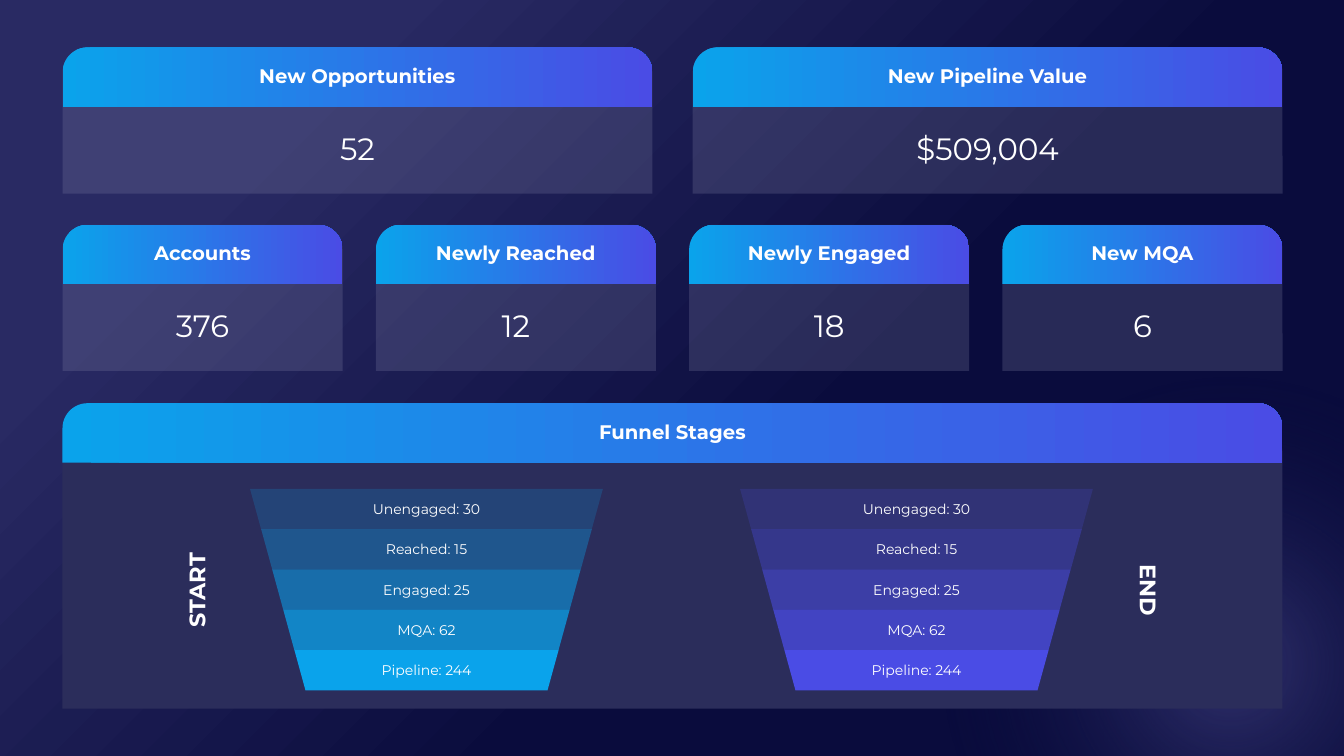
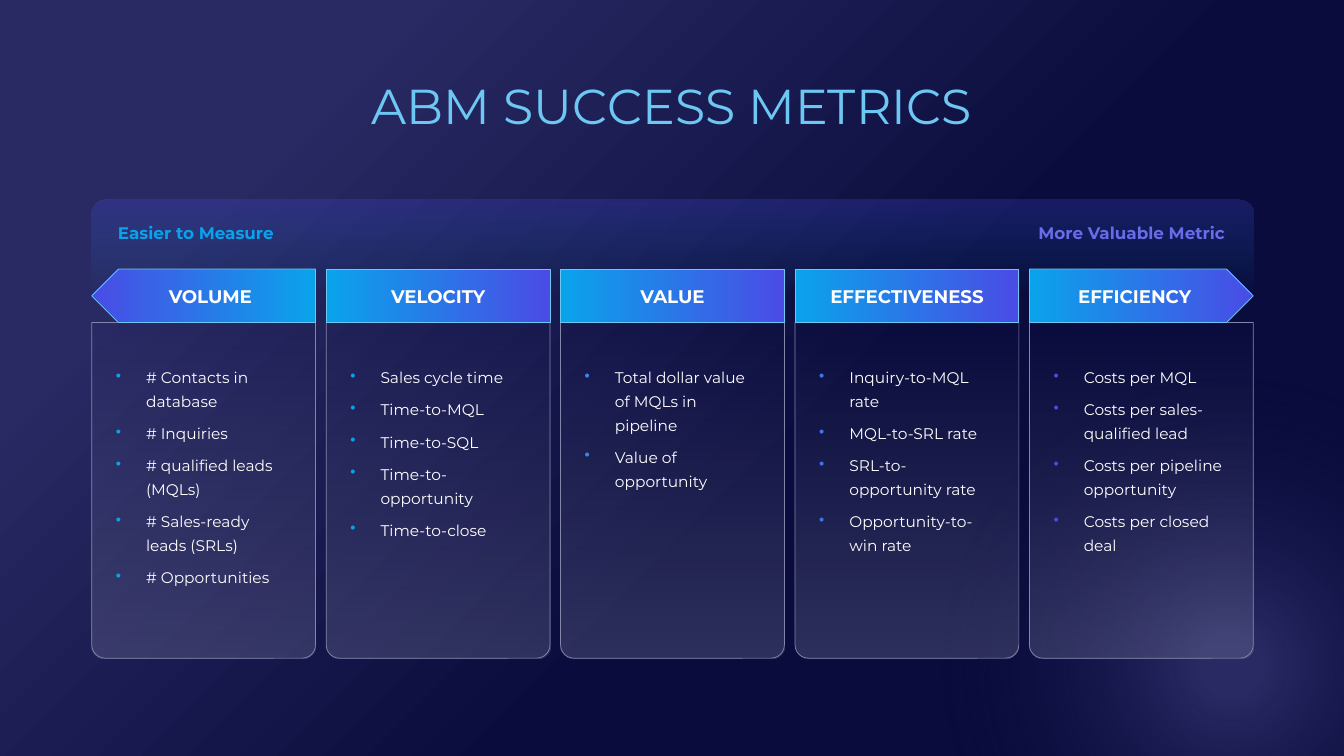
from pptx import Presentation
from pptx.enum.shapes import MSO_SHAPE
from pptx.enum.text import MSO_ANCHOR, MSO_AUTO_SIZE, PP_ALIGN
from pptx.oxml import parse_xml
from pptx.oxml.ns import nsdecls, qn
from pptx.util import Inches, Pt

ROUND_TOP, OVAL = MSO_SHAPE.ROUND_2_SAME_RECTANGLE, MSO_SHAPE.OVAL
RECT, ARROW = MSO_SHAPE.RECTANGLE, MSO_SHAPE.PENTAGON
LEFT, CENTER, RIGHT = PP_ALIGN.LEFT, PP_ALIGN.CENTER, PP_ALIGN.RIGHT
TOP, MIDDLE = MSO_ANCHOR.TOP, MSO_ANCHOR.MIDDLE

WHITE, CYAN, INDIGO, SKY = "FFFFFF", "0AA3EB", "4A4CE5", "6CC8F3"
NAVY, DUSK, MIST, PANEL = "0A0C3D", "292A63", "8485A8", "2B2D5B"
FONT = "Montserrat"

ACROSS = '<a:lin ang="0" scaled="0"/>'
DOWN = '<a:lin ang="5400000" scaled="0"/>'
CORNER = '<a:path path="circle"><a:fillToRect r="100000" b="100000"/></a:path>'
CENTRE = ('<a:path path="circle"><a:fillToRect l="50000" t="50000" '
          'r="50000" b="50000"/></a:path>')
BRAND = [(0, CYAN, 100), (100, INDIGO, 100)]

HEAD = {"size": Pt(14), "bold": True}
VALUE = {"size": Pt(22), "bold": False}
STAGE = {"size": Pt(10), "bold": False}
SIDE = {"size": Pt(16), "bold": True}
TITLE = {"size": Pt(35), "bold": False}
COLUMN = {"size": Pt(13), "bold": True}
ITEM = {"size": Pt(11), "bold": False}
LABEL = {"size": Pt(12), "bold": True}
SPACED = {"line_spacing": Pt(17), "space_after": Pt(6)}


def paint(fill, stops, direction=ACROSS):
    if isinstance(stops, str):
        stops = [(0, stops, 100)]
    colours = [f'<a:srgbClr val="{c}"><a:alpha val="{a * 1000}"/></a:srgbClr>'
               for _, c, a in stops]
    if len(stops) == 1:
        xml = f'<a:solidFill {nsdecls("a")}>{colours[0]}</a:solidFill>'
    else:
        gs = "".join(f'<a:gs pos="{stop[0] * 1000}">{c}</a:gs>'
                     for stop, c in zip(stops, colours))
        xml = (f'<a:gradFill {nsdecls("a")} rotWithShape="1">'
               f'<a:gsLst>{gs}</a:gsLst>{direction}</a:gradFill>')
    fill.solid()
    parent = fill._xPr
    parent.replace(parent.find(qn("a:solidFill")), parse_xml(xml))


def write(sp, lines, style, color=WHITE, align=CENTER, anchor=MIDDLE,
          insets=(0.1, 0.05, 0.1, 0.05), wrap=True, spacing=None, bullet=None):
    tf = sp.text_frame
    frame = {"auto_size": MSO_AUTO_SIZE.NONE, "word_wrap": wrap,
             "vertical_anchor": anchor}
    for side, inset in zip(("left", "top", "right", "bottom"), insets):
        frame[f"margin_{side}"] = Inches(inset)
    for key, value in frame.items():
        setattr(tf, key, value)
    for i, line in enumerate(lines):
        p = tf.add_paragraph() if i else tf.paragraphs[0]
        for key, value in {"alignment": align, **(spacing or {})}.items():
            setattr(p, key, value)
        if bullet:
            pPr = p._p.get_or_add_pPr()
            pPr.set("marL", str(Inches(0.3)))
            pPr.set("indent", str(Inches(-0.3)))
            pPr.append(parse_xml(f'<a:buClr {nsdecls("a")}>'
                                 f'<a:srgbClr val="{bullet}"/></a:buClr>'))
            pPr.append(parse_xml(f'<a:buChar {nsdecls("a")} char="•"/>'))
        r = p.add_run()
        r.text = line
        for key, value in {"name": FONT, **style}.items():
            setattr(r.font, key, value)
        paint(r.font.fill, color, CORNER)


prs = Presentation()
prs.slide_width, prs.slide_height = Inches(13.33), Inches(7.5)
master = prs.slide_master
paint(master.background.fill, [(19, DUSK, 100), (60, NAVY, 100)], CORNER)

s = prs.slides.add_slide(prs.slide_layouts[6])
glow = s.shapes.add_shape(OVAL, Inches(9.35), Inches(3.75), Inches(5.7), Inches(5.68))
paint(glow.fill, [(8, DUSK, 100), (71, NAVY, 0)], CENTRE)
glow.line.fill.background()
glow.shadow.inherit = False
master.element.find(".//" + qn("p:spTree")).insert(2, glow.element)

GLASS = [(0, MIST, 25)]
ROWS = [
    (0.47, 1.45, 0.4, GLASS, [("New Opportunities", "52"),
                              ("New Pipeline Value", "$509,004")]),
    (2.23, 1.45, 0.33, GLASS, [("Accounts", "376"), ("Newly Reached", "12"),
                               ("Newly Engaged", "18"), ("New MQA", "6")]),
    (4.0, 3.03, 0, PANEL, [("Funnel Stages", None)]),
]
for top, height, gap, fill, cards in ROWS:
    pitch = (12.1 + gap) / len(cards)
    for i, (name, value) in enumerate(cards):
        left, width = Inches(0.62 + i * pitch), Inches(pitch - gap)
        body = s.shapes.add_shape(ROUND_TOP, left, Inches(top), width, Inches(height))
        body.adjustments[0] = 0.17
        paint(body.fill, fill)
        if value:
            write(body, [value], VALUE, insets=(0.2, 0.6, 0.2, 0), spacing=SPACED)
        head = s.shapes.add_shape(ROUND_TOP, left, Inches(top), width, Inches(0.59))
        head.adjustments[0] = 0.42
        paint(head.fill, BRAND)
        write(head, [name], HEAD, insets=(0, 0, 0, 0.1))

STAGES = [("Unengaged: 30", 20), ("Reached: 15", 35), ("Engaged: 25", 55),
          ("MQA: 62", 75), ("Pipeline: 244", 100)]
FUNNELS = [(2.48, CYAN, "START", 1.47, 0.96, 270), (7.34, INDIGO, "END", 11.03, 0.72, 90)]
BAND, SLOPE = 0.4, 0.11
for left, color, side, side_left, side_width, turn in FUNNELS:
    for i, (stage, alpha) in enumerate(STAGES):
        x1, x2 = left + i * SLOPE, left + 3.5 - i * SLOPE
        y1 = 4.85 + i * BAND
        y2 = y1 + BAND
        outline = s.shapes.build_freeform(Inches(x1), Inches(y1))
        outline.add_line_segments([(Inches(x2), Inches(y1)),
                                   (Inches(x2 - SLOPE), Inches(y2)),
                                   (Inches(x1 + SLOPE), Inches(y2))], close=True)
        sp = outline.convert_to_shape()
        paint(sp.fill, [(0, color, alpha)])
        write(sp, [stage], STAGE)
    sp = s.shapes.add_textbox(Inches(side_left), Inches(5.67), Inches(side_width), Inches(0.37))
    sp.rotation = turn
    write(sp, [side], SIDE, anchor=TOP, wrap=False)

for sp in s.shapes:
    sp.line.fill.background()
    sp.shadow.inherit = False

s = prs.slides.add_slide(prs.slide_layouts[5])
title = s.shapes.title
title.left, title.top = Inches(3.56), Inches(0.7)
title.width, title.height = Inches(6.21), Inches(0.69)
write(title, ["ABM SUCCESS METRICS"], TITLE, [(0, SKY, 100), (64, CYAN, 100)],
      anchor=TOP, wrap=False)

LEFT_EDGE, SPAN, COL_WIDTH = 0.91, 11.52, 2.22
band = s.shapes.add_shape(ROUND_TOP, Inches(LEFT_EDGE), Inches(1.98), Inches(SPAN), Inches(0.95))
band.adjustments[0] = 0.16
paint(band.fill, [(0, INDIGO, 25), (100, CYAN, 0)], DOWN)
band.line.fill.background()

COLUMNS = [
    ("VOLUME", ARROW, CYAN, ["# Contacts in database", "# Inquiries",
                             "# qualified leads (MQLs)",
                             "# Sales-ready leads (SRLs)", "# Opportunities"]),
    ("VELOCITY", RECT, CYAN, ["Sales cycle time", "Time-to-MQL", "Time-to-SQL",
                              "Time-to-opportunity", "Time-to-close"]),
    ("VALUE", RECT, "398BE9", ["Total dollar value of MQLs in pipeline",
                               "Value of opportunity"]),
    ("EFFECTIVENESS", RECT, "4475E8", ["Inquiry-to-MQL rate", "MQL-to-SRL rate",
                                       "SRL-to-opportunity rate",
                                       "Opportunity-to-win rate"]),
    ("EFFICIENCY", ARROW, INDIGO, ["Costs per MQL", "Costs per sales-qualified lead",
                                   "Costs per pipeline opportunity",
                                   "Costs per closed deal"]),
]
pitch = (SPAN - COL_WIDTH) / (len(COLUMNS) - 1)
for i, (name, kind, color, items) in enumerate(COLUMNS):
    left, width = Inches(LEFT_EDGE + i * pitch), Inches(COL_WIDTH)
    body = s.shapes.add_shape(ROUND_TOP, left, Inches(3.2), width, Inches(3.33))
    body.adjustments[0], body.adjustments[1] = 0, 0.06
    paint(body.fill, [(0, MIST, 0), (100, MIST, 30)], DOWN)
    write(body, items, ITEM, align=LEFT, anchor=TOP, insets=(0.2, 0.4, 0.2, 0.2),
          spacing=SPACED, bullet=color)
    head = s.shapes.add_shape(kind, left, Inches(2.67), width, Inches(0.53))
    paint(head.fill, BRAND)
    write(head, [name], COLUMN)
    if i == 0:
        head.element.spPr.xfrm.set("flipH", "1")
    for sp, line_color in ((body, MIST), (head, SKY)):
        paint(sp.line.fill, line_color)
        sp.line.width = Pt(0.5)

LABELS = [("Easier to Measure", 0.97, 1.97, CYAN, LEFT),
          ("More Valuable Metric", 10.06, 2.29, "696CE9", RIGHT)]
for text, left, width, color, align in LABELS:
    sp = s.shapes.add_textbox(Inches(left), Inches(2.16), Inches(width), Inches(0.3))
    write(sp, [text], LABEL, color, align, TOP, (0.2, 0.05, 0.2, 0.05), wrap=False)

for sp in s.shapes:
    sp.shadow.inherit = False

prs.save("out.pptx")
